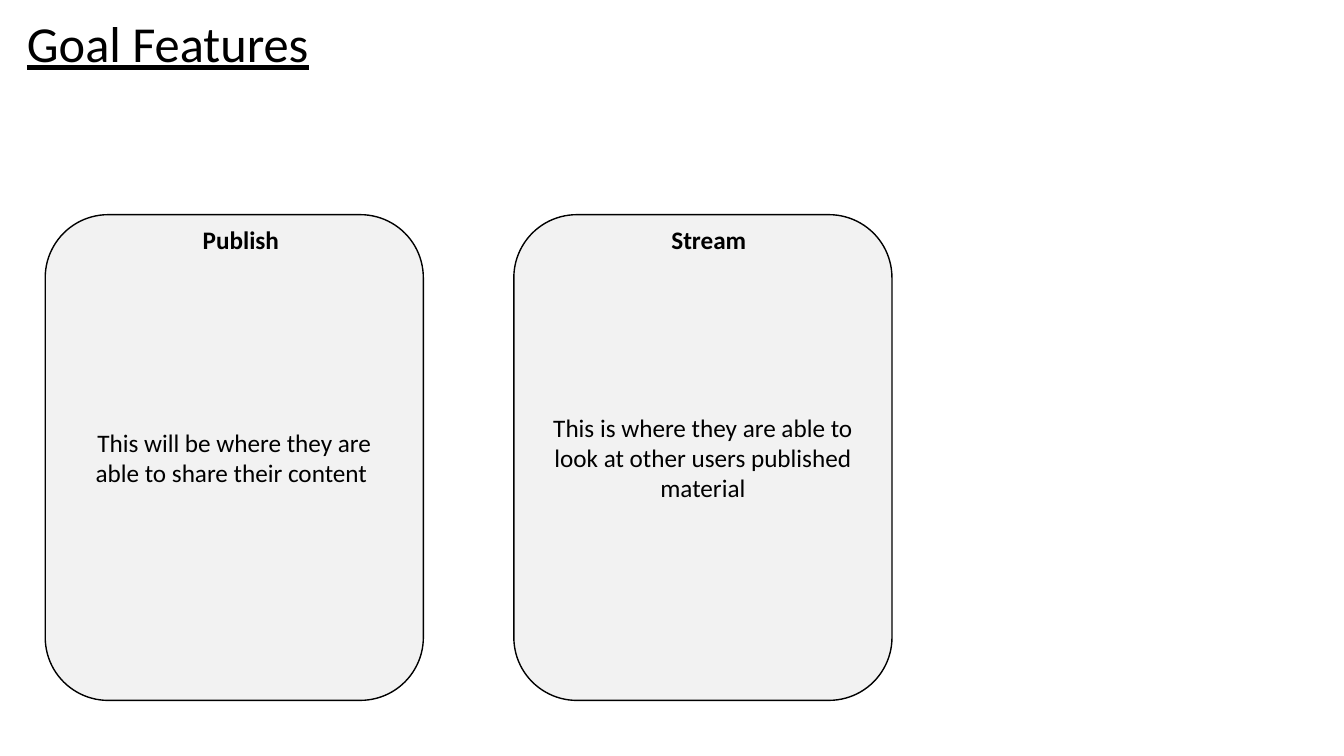
import pptx
import pptx.util
import pptx.dml.color
import pptx.enum.shapes
import pptx.enum.text
from pptx.util import Cm

BLACK = pptx.dml.color.RGBColor(0x00, 0x00, 0x00)
LIGHT_GREY = pptx.dml.color.RGBColor(0xF2, 0xF2, 0xF2)

CARDS = [
    ("Publish", "This will be where they are able to share their content "),
    ("Stream", "This is where they are able to look at other users published material"),
]
CARD_LEFT, CARD_TOP, CARD_PITCH = 1.14, 5.41, 11.81
CARD_WIDTH, CARD_HEIGHT = 9.53, 12.24


class FeatureSlide:
    """Holds the style and the current slide."""
    font_name = "Calibri"

    def __init__(self, prs):
        self.slide = prs.slides.add_slide(prs.slide_layouts[6])

    def set_text(self, tf, text, size, bold=None, underline=None):
        tf.word_wrap = True
        p = tf.paragraphs[0]
        p.text = text
        p.font.name = self.font_name
        p.font.size = pptx.util.Pt(size)
        p.font.color.rgb = BLACK
        p.font.bold = bold
        p.font.underline = underline
        return p

    def label(self, text, left, top, width, height, size, **style):
        box = self.slide.shapes.add_textbox(Cm(left), Cm(top), Cm(width), Cm(height))
        box.text_frame.auto_size = pptx.enum.text.MSO_AUTO_SIZE.SHAPE_TO_FIT_TEXT
        self.set_text(box.text_frame, text, size, **style)

    def card(self, heading, body, left):
        sp = self.slide.shapes.add_shape(
            pptx.enum.shapes.MSO_SHAPE.ROUNDED_RECTANGLE,
            Cm(left), Cm(CARD_TOP), Cm(CARD_WIDTH), Cm(CARD_HEIGHT))
        sp.shadow.inherit = False
        sp.fill.solid()
        sp.fill.fore_color.rgb = LIGHT_GREY
        sp.line.color.rgb = BLACK
        sp.line.width = pptx.util.Pt(1)
        sp.text_frame.vertical_anchor = pptx.enum.text.MSO_ANCHOR.MIDDLE
        p = self.set_text(sp.text_frame, body, 18)
        p.alignment = pptx.enum.text.PP_ALIGN.CENTER
        self.label(heading, left + 3.72, CARD_TOP + 0.13, 4.37, 1.02, 18, bold=True)


def main():
    prs = pptx.Presentation()
    prs.slide_width, prs.slide_height = Cm(33.87), Cm(19.05)
    s = FeatureSlide(prs)

    # Title
    s.label("Goal Features", 0.43, 0.18, 13.49, 1.8, 36, underline=True)

    # Feature cards
    for i, (heading, body) in enumerate(CARDS):
        s.card(heading, body, CARD_LEFT + i * CARD_PITCH)

    prs.save("out.pptx")


if __name__ == "__main__":
    main()
